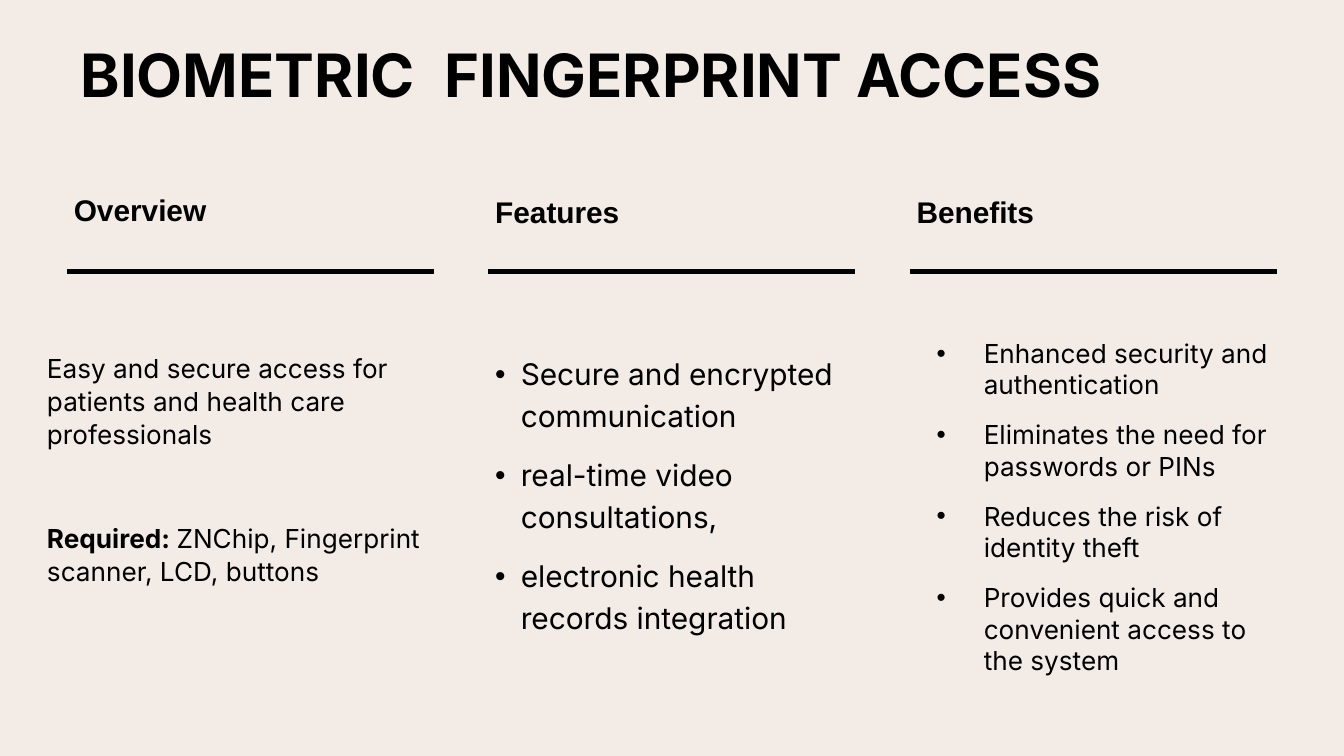
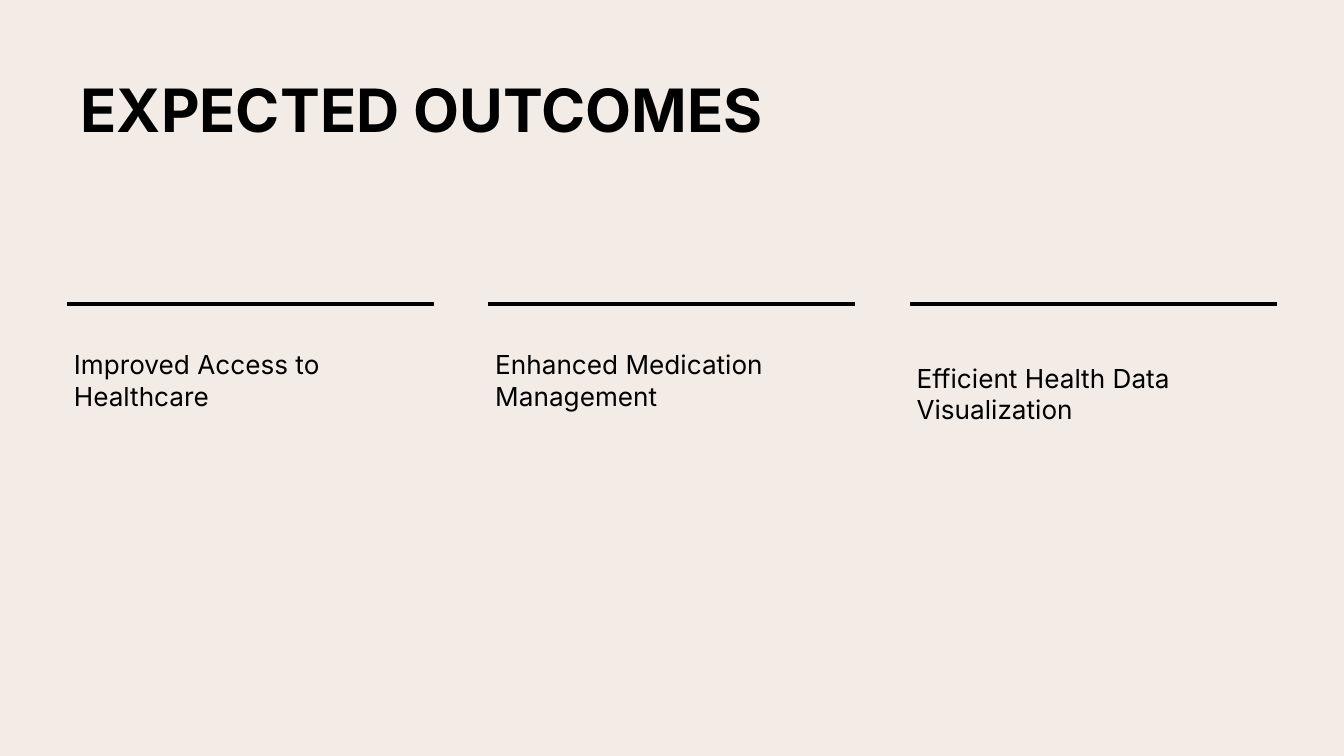
from lxml.etree import SubElement
from pptx import Presentation
from pptx.dml.color import RGBColor
from pptx.enum.shapes import MSO_CONNECTOR
from pptx.enum.text import MSO_ANCHOR, MSO_AUTO_SIZE, PP_ALIGN
from pptx.oxml.ns import qn
from pptx.util import Pt

PX = 4572  # EMU in one px, 200 px to the inch
WIDE, HIGH = 2000, 1125
INK = RGBColor(0x00, 0x00, 0x00)
SAND = RGBColor(0xF2, 0xEB, 0xE6)
SANS, HEAD = "Inter", "Arial"

# Column grid
LEFT, STEP, COL = 100, 627, 546
HEAD_PAD = (10, 0, 30, 30)


def col_x(index):
    return LEFT + index * STEP


def place(shape, box):
    shape.left, shape.top, shape.width, shape.height = (n * PX for n in box)


def add_bullet(para, hang):
    margin, indent = hang
    props = para._p.get_or_add_pPr()
    props.set("marL", str(margin * PX))
    props.set("indent", str(-indent * PX))
    color = SubElement(props, qn("a:buClr"))
    SubElement(color, qn("a:srgbClr")).set("val", str(INK))
    SubElement(props, qn("a:buFont")).set("typeface", "Arial")
    SubElement(props, qn("a:buChar")).set("char", "•")


def write(shape, paras, size=14, font=SANS, bold=False, pad=(20, 20, 20, 20),
          anchor=MSO_ANCHOR.TOP, lead=1.0, before=0, after=0, hang=None):
    """Each paragraph is a string or a list of (text, bold, letter gap) runs.

    The space before applies from the second paragraph on.
    """
    frame = shape.text_frame
    frame.word_wrap = True
    frame.auto_size = MSO_AUTO_SIZE.NONE
    frame.vertical_anchor = anchor
    (frame.margin_left, frame.margin_top,
     frame.margin_right, frame.margin_bottom) = (n * PX for n in pad)
    for i, runs in enumerate(paras):
        para = frame.add_paragraph() if i else frame.paragraphs[0]
        para.alignment = PP_ALIGN.LEFT
        para.line_spacing = lead
        para.space_before = Pt(before if i else 0)
        para.space_after = Pt(after)
        if hang:
            add_bullet(para, hang)
        if isinstance(runs, str):
            runs = [(runs, bold, 0)]
        for text, strong, gap in runs:
            run = para.add_run()
            run.text = text
            run.font.size = Pt(size)
            run.font.name = font
            run.font.bold = strong
            run.font.color.rgb = INK
            if gap:
                run.font._element.set("spc", str(gap))


def add_text(slide, box, paras, **style):
    shape = slide.shapes.add_textbox(0, 0, 0, 0)
    place(shape, box)
    write(shape, paras, **style)


def add_label(slide, index, top, text, **style):
    add_text(slide, (col_x(index), top, COL, 158), [text],
             pad=HEAD_PAD, anchor=MSO_ANCHOR.BOTTOM, **style)


def add_rules(slide, top):
    for i in range(3):
        x = col_x(i)
        rule = slide.shapes.add_connector(
            MSO_CONNECTOR.STRAIGHT, x * PX, top * PX, (x + COL) * PX, top * PX)
        rule.line.color.rgb = INK
        rule.line.width = Pt(2.25)
        SubElement(rule._element.spPr, qn("a:effectLst"))


def add_page(deck, title, top):
    slide = deck.slides.add_slide(deck.slide_layouts[5])
    place(slide.shapes.title, (LEFT, top, 1800, 126))
    write(slide.shapes.title, [title], size=32, bold=True,
          anchor=MSO_ANCHOR.MIDDLE)
    return slide


def access_page(deck):
    title = [("BIOMETRIC", True, 0), (" ", True, 800),
             ("FINGERPRINT ACCESS", True, 0)]
    slide = add_page(deck, title, 46)

    # Column heads
    heads = [("Overview", 210), ("Features", 214), ("Benefits", 214)]
    for i, (text, top) in enumerate(heads):
        add_label(slide, i, top, text, size=16, font=HEAD, bold=True)
    add_rules(slide, 404)

    # Overview
    add_text(slide, (col_x(0) - 40, 482, 626, 478), [
        "Easy and secure access for patients and health care professionals",
        [("Required: ", True, 0),
         ("ZNChip, Fingerprint scanner, LCD, buttons", False, 0)],
    ], pad=(10, 40, 30, 20), lead=1.05, before=28, after=10)

    # Features
    add_text(slide, (col_x(1), 482, COL, 514), [
        "Secure and encrypted communication",
        "real-time video consultations,",
        "electronic health records integration",
    ], size=16, pad=(10, 40, 20, 20), lead=1.15, after=10, hang=(38, 38))

    # Benefits
    add_text(slide, (col_x(2), 462, 586, 550), [
        "Enhanced security and authentication",
        "Eliminates the need for passwords or PINs",
        "Reduces the risk of identity theft",
        "Provides quick and convenient access to the system",
    ], pad=(10, 40, 20, 20), after=10, hang=(100, 70))


def outcome_page(deck):
    slide = add_page(deck, "EXPECTED OUTCOMES", 98)
    add_rules(slide, 452)
    goals = [("Improved Access to Healthcare", 484),
             ("Enhanced Medication Management", 484),
             ("Efficient Health Data Visualization", 504)]
    for i, (text, top) in enumerate(goals):
        add_label(slide, i, top, text)


def main():
    deck = Presentation()
    deck.slide_width, deck.slide_height = WIDE * PX, HIGH * PX
    fill = deck.slide_master.background.fill
    fill.solid()
    fill.fore_color.rgb = SAND
    access_page(deck)
    outcome_page(deck)
    deck.save("out.pptx")


if __name__ == "__main__":
    main()
